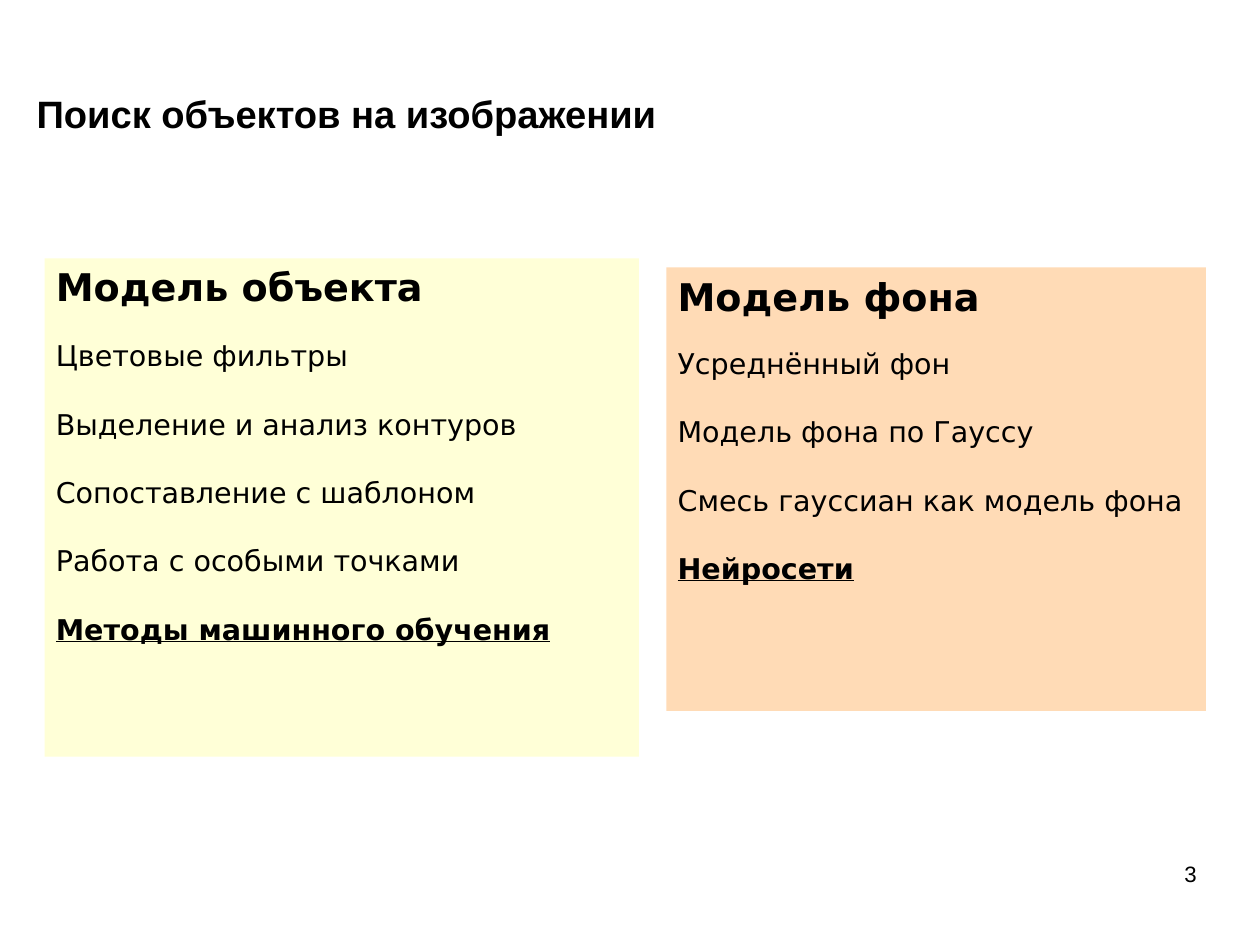
from dataclasses import dataclass

import pptx
import pptx.dml.color
import pptx.enum.shapes
import pptx.enum.text
import pptx.util

Inches = pptx.util.Inches
Pt = pptx.util.Pt
Anchor = pptx.enum.text.MSO_ANCHOR
Align = pptx.enum.text.PP_ALIGN

CM_PER_INCH = 2.54
METHOD_GAP = 21.5


@dataclass
class Panel:
    box: tuple[float, float, float, float]
    fill: str
    heading: str
    heading_gap: float
    methods: list[str]
    highlight: str


PANELS = [
    Panel((0.39, 2.26, 5.2, 4.36), "FFFFD7", "Модель объекта", 18,
          ["Цветовые фильтры", "Выделение и анализ контуров",
           "Сопоставление с шаблоном", "Работа с особыми точками"],
          "Методы машинного обучения"),
    Panel((5.83, 2.34, 4.72, 3.88), "FFDBB6", "Модель фона", 17,
          ["Усреднённый фон", "Модель фона по Гауссу",
           "Смесь гауссиан как модель фона"],
          "Нейросети"),
]


def rgb(value: str) -> pptx.dml.color.RGBColor:
    return pptx.dml.color.RGBColor.from_string(value)


def set_frame(frame, anchor, side: float = 0, top: float = 0) -> None:
    settings = {
        "word_wrap": True,
        "vertical_anchor": anchor,
        "margin_left": Inches(side),
        "margin_right": Inches(side),
        "margin_top": Inches(top),
        "margin_bottom": Inches(top),
    }
    for name, value in settings.items():
        setattr(frame, name, value)


def write(paragraph, text: str, font: str, size: float, bold: bool = False,
          underline: bool = False, align=Align.LEFT) -> None:
    paragraph.alignment = align
    run = paragraph.add_run()
    run.text = text
    style = {"name": font, "size": Pt(size), "bold": bold, "underline": underline}
    for name, value in style.items():
        setattr(run.font, name, value)
    run.font.color.rgb = rgb("000000")


def add_label(slide, box: tuple[float, float, float, float], text: str,
              size: float, anchor, bold: bool = False, align=Align.LEFT) -> None:
    frame = slide.shapes.add_textbox(*map(Inches, box)).text_frame
    set_frame(frame, anchor)
    write(frame.paragraphs[0], text, "Arial", size, bold, align=align)


def add_panel(slide, panel: Panel) -> None:
    card = slide.shapes.add_shape(
        pptx.enum.shapes.MSO_SHAPE.RECTANGLE, *map(Inches, panel.box))
    card.shadow.inherit = False
    card.fill.solid()
    card.fill.fore_color.rgb = rgb(panel.fill)
    card.line.fill.background()
    frame = card.text_frame
    set_frame(frame, Anchor.TOP, 0.1, 0.05)
    write(frame.paragraphs[0], panel.heading, "DejaVu Sans", 24, bold=True)
    gap = panel.heading_gap
    for method in [*panel.methods, panel.highlight]:
        paragraph = frame.add_paragraph()
        paragraph.space_before = Pt(gap)
        stressed = method == panel.highlight
        write(paragraph, method, "DejaVu Sans", 18, stressed, stressed)
        gap = METHOD_GAP


def main() -> None:
    deck = pptx.Presentation()
    deck.slide_width = Inches(28 / CM_PER_INCH)
    deck.slide_height = Inches(21 / CM_PER_INCH)
    slide = deck.slides.add_slide(deck.slide_layouts[6])
    add_label(slide, (0.32, 0.81, 6.38, 0.37), "Поиск объектов на изображении",
              24, Anchor.MIDDLE, bold=True)
    for panel in PANELS:
        add_panel(slide, panel)
    add_label(slide, (7.9, 7.53, 2.57, 0.57), "3", 14, Anchor.TOP, align=Align.RIGHT)
    deck.save("out.pptx")


if __name__ == "__main__":
    main()
